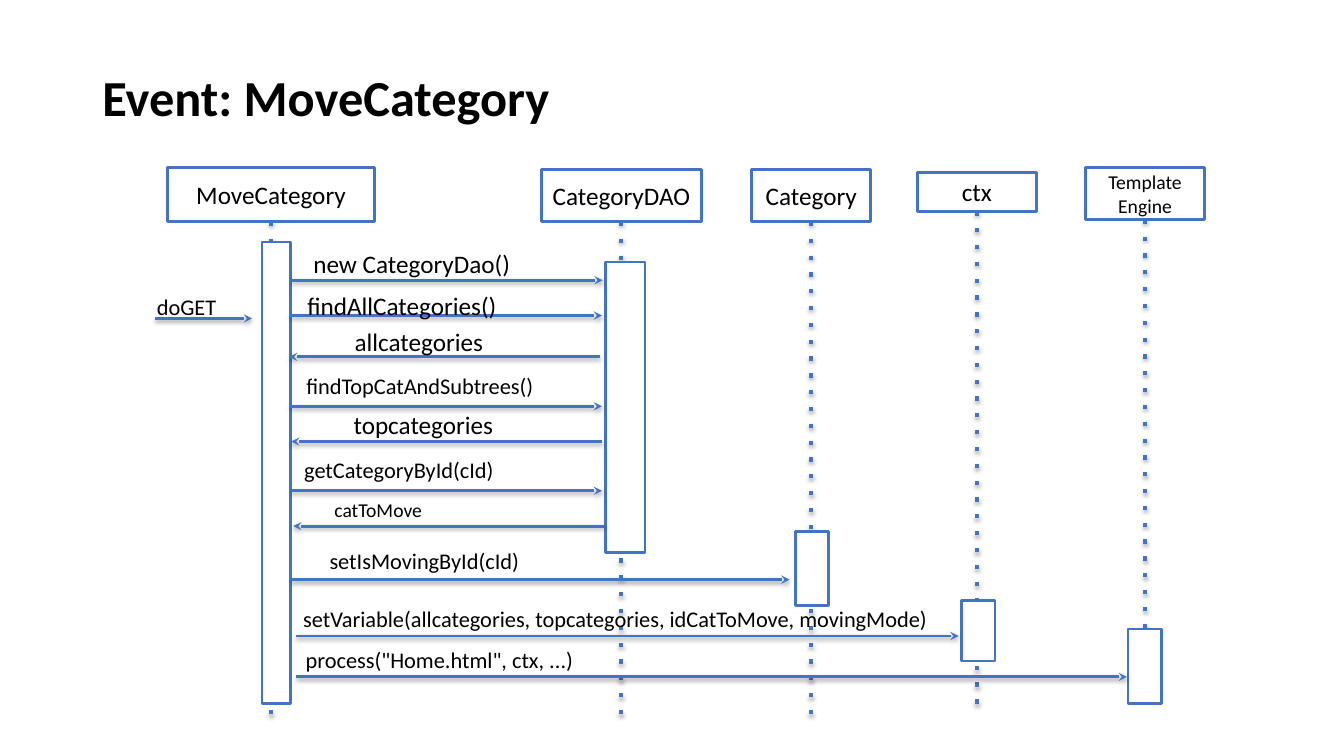
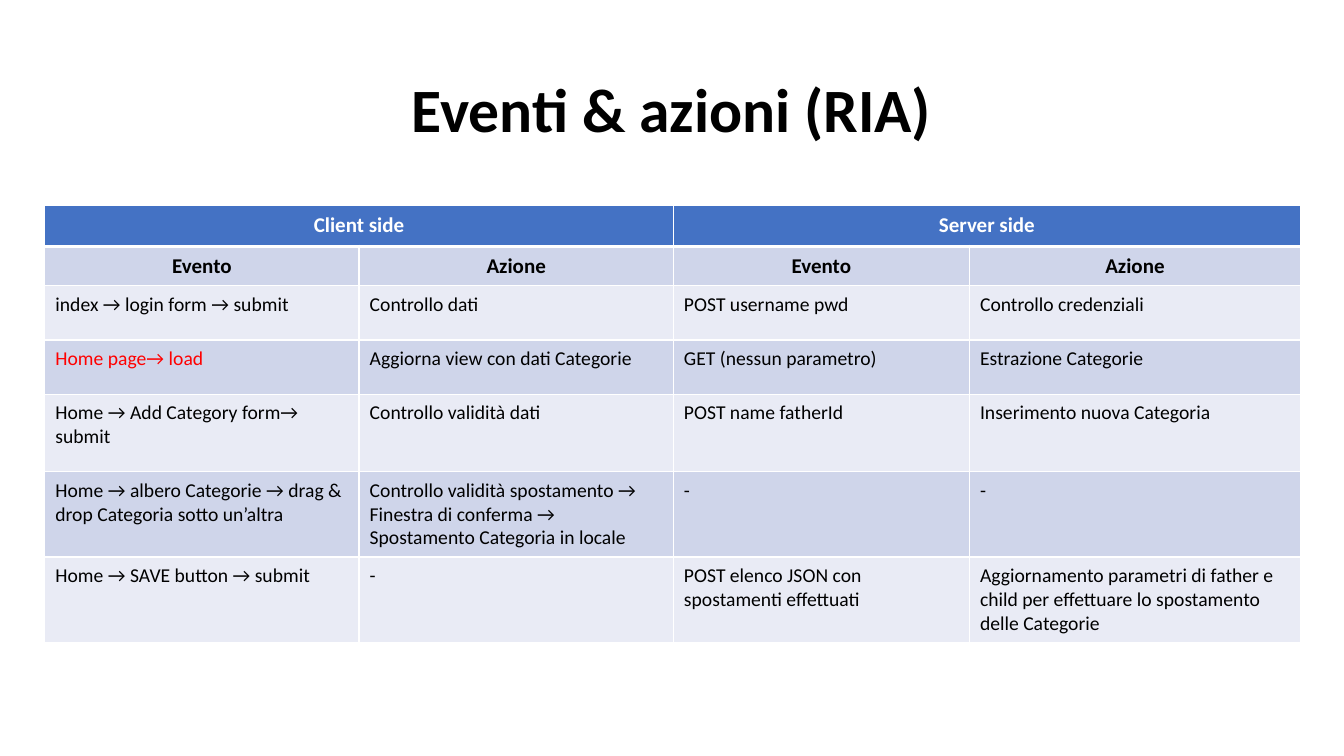
from lxml.etree import SubElement
from pptx import Presentation
from pptx.dml.color import RGBColor
from pptx.enum.shapes import MSO_CONNECTOR, MSO_SHAPE
from pptx.enum.text import MSO_ANCHOR as Anchor, PP_ALIGN as Align
from pptx.oxml.ns import qn
from pptx.util import Pt

FONT = "Calibri"
BLUE, BLACK, WHITE, RED = "4472C4", "000000", "FFFFFF", "FF0000"
BANDS = ["E9EBF5", "CFD5EA"]
color = RGBColor.from_string


def format_text(text_frame, size, hex_color=BLACK, bold=False, align=Align.LEFT):
    text_frame.word_wrap = True
    for paragraph in text_frame.paragraphs:
        paragraph.alignment = align
        for run in paragraph.runs:
            run.font.name, run.font.size, run.font.bold = FONT, Pt(size), bold
            run.font.color.rgb = color(hex_color)


def add_line(start, end, width, detail, value, alpha, distance):
    """Blue line with a soft shadow; detail is a dash pattern or an arrowhead."""
    connector = slide.shapes.add_connector(MSO_CONNECTOR.STRAIGHT, *map(Pt, start + end))
    connector.line.color.rgb = color(BLUE)
    connector.line.width = Pt(width)
    properties = connector.element.spPr
    attribute = "val" if detail == "a:prstDash" else "type"
    SubElement(properties.find(qn("a:ln")), qn(detail), {attribute: value})
    effects = SubElement(properties, qn("a:effectLst"))
    shadow = SubElement(effects, qn("a:outerShdw"), blurRad=str(Pt(3.1)),
                        dist=str(Pt(distance)), dir="5400000", rotWithShape="0")
    black = SubElement(shadow, qn("a:srgbClr"), val=BLACK)
    SubElement(black, qn("a:alpha"), val=str(alpha * 1000))


presentation = Presentation()
presentation.slide_width, presentation.slide_height = Pt(960), Pt(540)

# Slides and titles: text, top, height, size, alignment
slides = []
for text, top, height, size, align in [
    ("Event: MoveCategory", 28.8, 85, 36, Align.LEFT),
    ("Eventi & azioni (RIA)", 40.3, 80, 44, Align.CENTER),
]:
    slide = presentation.slides.add_slide(presentation.slide_layouts[5])
    title = slide.shapes.title
    title.left, title.top, title.width, title.height = map(Pt, (66, top, 828, height))
    title.text_frame.text = text
    title.text_frame.vertical_anchor = Anchor.MIDDLE
    title.text_frame.paragraphs[0].line_spacing = 0.9
    format_text(title.text_frame, size, bold=True, align=align)
    slides.append(slide)

# Participants: name, size, header box, lifeline end, activation bar
slide = slides[0]
participants = [
    ("MoveCategory", 18, (119.5, 119.5, 148.3, 39), 511, (187.2, 172.8, 20.2, 329.8)),
    ("CategoryDAO", 18, (386.6, 121, 114.5, 37.5), 511, (432.7, 187.2, 28, 207.4)),
    ("Category", 18, (537, 121, 85, 37.5), 511, (568, 379.4, 23.8, 53.3)),
    ("ctx", 18, (655.2, 123, 85, 28), 511, (687, 429, 23.8, 43.2)),
    ("Template\vEngine", 14, (775.4, 119.5, 85, 37.5), 489, (805.7, 449.3, 23.8, 53.3)),
]
for name, size, header, lifeline_end, bar in participants:
    left, top, width, height = header
    center = left + width / 2
    add_line((center, top + height), (center, lifeline_end), 3, "a:prstDash", "dot", 35, 1.8)
    for box, text in [(header, name), (bar, "")]:
        shape = slide.shapes.add_shape(MSO_SHAPE.RECTANGLE, *map(Pt, box))
        shape.shadow.inherit = False
        shape.fill.solid()
        shape.fill.fore_color.rgb = color(WHITE)
        shape.line.color.rgb = color(BLUE)
        shape.line.width = Pt(2)
        shape.text_frame.text = text
        shape.text_frame.vertical_anchor = Anchor.MIDDLE
        format_text(shape.text_frame, size, align=Align.CENTER)

# Messages: text, size, label box, arrow start, arrow end, arrow height, alignment
L, C = Align.LEFT, Align.CENTER
messages = [
    ("doGET", 16, (105, 206, 72, 21.6), 111, 180, 227.5, L),
    ("new CategoryDao()", 18, (216.7, 173.5, 209.5, 18), 208, 430.5, 200.2, L),
    ("findAllCategories()", 18, (212.4, 203.8, 209.5, 18), 207.5, 430, 225.4, L),
    ("allcategories", 18, (246.2, 229.7, 122.4, 21), 428.5, 206.5, 254.9, L),
    ("findTopCatAndSubtrees()", 16, (211.7, 262, 222.5, 16), 207.5, 430, 290.2, L),
    ("topcategories", 18, (245.5, 288.7, 124.6, 21), 430, 208, 315.4, L),
    ("getCategoryById(cId)", 16, (210.2, 322.6, 222.5, 16), 208, 430, 350.6, L),
    ("catToMove", 14, (231.8, 352, 124.6, 21), 431.5, 209.5, 375.8, L),
    ("setIsMovingById(cId)", 16, (194.4, 387.4, 217.4, 29.5), 208, 564, 414, C),
    ("setVariable(allcategories, topcategories, idCatToMove, movingMode)", 16,
     (209.5, 429, 527, 16.6), 211.7, 684.7, 454.3, L),
    ('process("Home.html", ctx, ...)', 16, (205.2, 458, 217.4, 29.5), 211.7, 805, 483.5, C),
]
for text, size, label_box, start, end, y, align in messages:
    add_line((start, y), (end, y), 2, "a:tailEnd", "stealth", 38, 1.6)
    label = slide.shapes.add_textbox(*map(Pt, label_box))
    label.text_frame.text = text
    format_text(label.text_frame, size, align=align)

# Table of events and actions
rows = [
    ("Client side", "", "Server side", ""),
    ("Evento", "Azione", "Evento", "Azione"),
    ("index → login form → submit", "Controllo dati", "POST username pwd",
     "Controllo credenziali"),
    ("Home page→ load", "Aggiorna view con dati Categorie", "GET (nessun parametro)",
     "Estrazione Categorie"),
    ("Home → Add Category form→ submit", "Controllo validità dati", "POST name fatherId",
     "Inserimento nuova Categoria"),
    ("Home → albero Categorie → drag & drop Categoria sotto un’altra",
     "Controllo validità spostamento → Finestra di conferma → Spostamento Categoria in locale",
     "-", "-"),
    ("Home → SAVE button → submit", "-", "POST elenco JSON con spostamenti effettuati",
     "Aggiornamento parametri di father e child per effettuare lo spostamento delle Categorie"),
]
column_widths = [224.5, 224.5, 211.5, 236.5]
row_heights = [29, 25, 38.7, 38.7, 55.5, 55, 55]
table = slides[1].shapes.add_table(
    len(rows), len(column_widths), Pt(32), Pt(147),
    Pt(sum(column_widths)), Pt(sum(row_heights))).table
for column, width in zip(table.columns, column_widths):
    column.width = Pt(width)
for row, height in zip(table.rows, row_heights):
    row.height = Pt(height)
for first in (0, 2):
    table.cell(0, first).merge(table.cell(0, first + 1))

for i, row in enumerate(rows):
    for j, text in enumerate(row):
        cell = table.cell(i, j)
        cell.margin_left = cell.margin_right = Pt(7.6)
        cell.margin_top = cell.margin_bottom = Pt(4.9)
        # Borders come before the fill in the cell properties
        properties = cell._tc.get_or_add_tcPr()
        for side in ("a:lnL", "a:lnR", "a:lnT", "a:lnB"):
            thick = (i, side) in [(0, "a:lnB"), (1, "a:lnT")]
            border = SubElement(properties, qn(side), w=str(Pt(3 if thick else 1)))
            SubElement(SubElement(border, qn("a:solidFill")), qn("a:srgbClr"), val=WHITE)
        cell.fill.solid()
        cell.fill.fore_color.rgb = color(BLUE if i == 0 else BANDS[i % 2])
        if text:
            is_header = i < 2
            text_color = WHITE if i == 0 else RED if (i, j) == (3, 0) else BLACK
            cell.text_frame.text = text
            format_text(cell.text_frame, 15 if is_header else 14, text_color, is_header,
                        Align.CENTER if is_header else Align.LEFT)

presentation.save("out.pptx")
